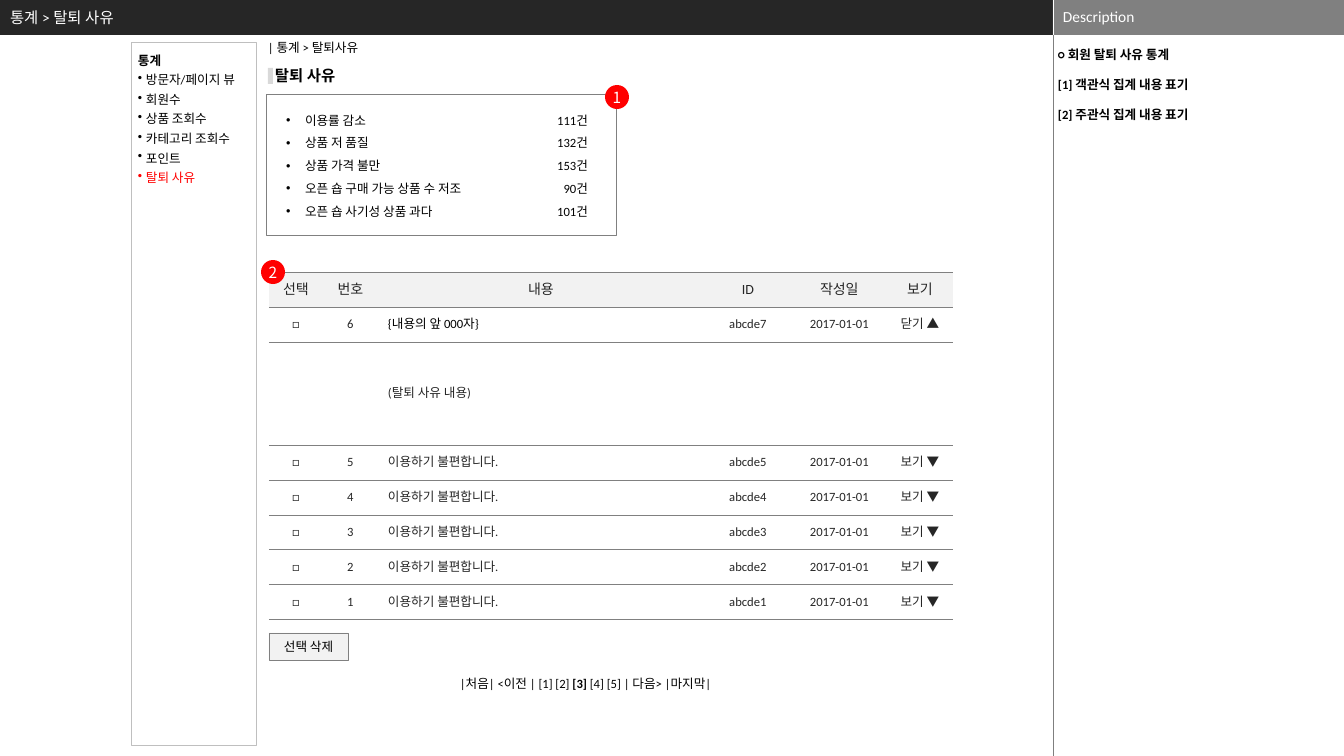
from dataclasses import dataclass

from lxml.etree import SubElement
from pptx import Presentation
from pptx.dml.color import RGBColor
from pptx.enum.shapes import MSO_CONNECTOR, MSO_SHAPE
from pptx.enum.text import MSO_ANCHOR, MSO_AUTO_SIZE, PP_ALIGN
from pptx.oxml.ns import qn
from pptx.util import Emu, Pt

PX = 914400 / 100.8


def px(n):
    return Emu(round(n * PX))


@dataclass(frozen=True)
class Theme:
    font: str = "Calibri"
    badge_font: str = "Noto Sans CJK KR"
    small: int = 9
    medium: int = 10
    large: int = 11
    black: str = "000000"
    dark: str = "262626"
    gray: str = "808080"
    rule: str = "7F7F7F"
    frame: str = "BFBFBF"
    marker: str = "D9D9D9"
    pale: str = "F2F2F2"
    white: str = "FFFFFF"
    red: str = "FF0000"


class Page:
    def __init__(self, slide, theme):
        self.s, self.t = slide, theme

    def fill_text(self, tf, lines, size=None, color=None, bold=False, font=None,
                  align=PP_ALIGN.LEFT, spacing=None, before=0, indent=0):
        """Each line is a string or a tuple of run texts."""
        for i, line in enumerate(lines):
            p = tf.paragraphs[0] if i == 0 else tf.add_paragraph()
            if isinstance(line, str):
                p.text = line
            else:
                for part in line:
                    p.add_run().text = part
            p.alignment = align
            p.space_before = Pt(before if i else 0)
            if spacing:
                p.line_spacing = spacing
            for r in p.runs:
                self.style(r, size or self.t.small, color or self.t.black, bold, font or self.t.font)
            if indent:
                self.bullet(p, indent)
        return tf

    def style(self, r, size, color, bold, font):
        r.font.size, r.font.bold, r.font.name = Pt(size), bold, font
        r.font.color.rgb = RGBColor.from_string(color)
        SubElement(r.font._element, qn("a:ea"), typeface=font)

    def bullet(self, p, indent):
        pPr = p._p.get_or_add_pPr()
        pPr.set("marL", str(px(indent)))
        pPr.set("indent", str(-px(indent)))
        SubElement(pPr, qn("a:buChar"), char="•")

    def frame(self, sp, anchor=MSO_ANCHOR.TOP, inset=(10, 5, 10, 5)):
        tf = sp.text_frame
        tf.word_wrap, tf.auto_size, tf.vertical_anchor = True, MSO_AUTO_SIZE.NONE, anchor
        tf.margin_left, tf.margin_top, tf.margin_right, tf.margin_bottom = map(px, inset)
        return tf

    def text(self, box, lines, anchor=MSO_ANCHOR.TOP, inset=(10, 5, 10, 5), **look):
        sp = self.s.shapes.add_textbox(*map(px, box))
        return self.fill_text(self.frame(sp, anchor, inset), lines, **look)

    def placeholder(self, index, box, lines, anchor=MSO_ANCHOR.TOP, **look):
        sp = self.s.placeholders[index]
        sp.left, sp.top, sp.width, sp.height = map(px, box)
        self.s.shapes._spTree.append(sp._element)  # bring to front
        return self.fill_text(self.frame(sp, anchor), lines, **look)

    def shape(self, box, fill=None, line=None, weight=0.5, kind=MSO_SHAPE.RECTANGLE):
        sp = self.s.shapes.add_shape(kind, *map(px, box))
        sp.shadow.inherit = False
        if fill:
            sp.fill.solid()
            sp.fill.fore_color.rgb = RGBColor.from_string(fill)
        else:
            sp.fill.background()
        if line:
            sp.line.color.rgb = RGBColor.from_string(line)
            sp.line.width = Pt(weight)
        else:
            sp.line.fill.background()
        return sp

    def badge(self, x, y, number):
        sp = self.shape((x, y, 24, 24), self.t.red, kind=MSO_SHAPE.OVAL)
        self.fill_text(self.frame(sp, MSO_ANCHOR.MIDDLE, (0, 0, 0, 0)), [number], size=self.t.large,
                       color=self.t.white, font=self.t.badge_font, align=PP_ALIGN.CENTER)

    def line(self, x1, y1, x2, y2, color):
        c = self.s.shapes.add_connector(MSO_CONNECTOR.STRAIGHT, *map(px, (x1, y1, x2, y2)))
        c.line.color.rgb = RGBColor.from_string(color)
        c.line.width = Pt(0.25)
        SubElement(c._element.spPr, qn("a:effectLst"))

    def borders(self, cell):
        tcPr = cell._tc.get_or_add_tcPr()
        for i, side in enumerate(("lnL", "lnR", "lnT", "lnB")):
            ln = tcPr.makeelement(qn("a:" + side), {"w": str(Pt(0.5))})
            if side in ("lnT", "lnB"):
                SubElement(SubElement(ln, qn("a:solidFill")), qn("a:srgbClr"), val=self.t.gray)
            else:
                SubElement(ln, qn("a:noFill"))
            tcPr.insert(i, ln)

    def table(self, x, y, widths, heights, rows, left_column):
        box = map(px, (x, y, sum(widths), sum(heights)))
        table = self.s.shapes.add_table(len(rows), len(widths), *box).table
        table.first_row = table.horz_banding = False
        for column, width in zip(table.columns, widths):
            column.width = px(width)
        for i, (row, height, values) in enumerate(zip(table.rows, heights, rows)):
            row.height = px(height)
            for j, (cell, value) in enumerate(zip(row.cells, values)):
                cell.vertical_anchor = MSO_ANCHOR.MIDDLE
                if i == 0:
                    cell.fill.solid()
                    cell.fill.fore_color.rgb = RGBColor.from_string(self.t.pale)
                else:
                    cell.fill.background()
                self.borders(cell)
                if value:
                    self.fill_text(cell.text_frame, [value], color=self.t.dark,
                                   size=self.t.small if i else self.t.medium,
                                   align=PP_ALIGN.LEFT if i and j == left_column else PP_ALIGN.CENTER)
        return table


def main():
    prs = Presentation()
    prs.slide_width, prs.slide_height = px(1344), px(756)
    t = Theme()
    page = Page(prs.slides.add_slide(prs.slide_layouts[1]), t)

    # Header bar and description panel
    page.shape((0, 0, 1053, 35), t.dark)
    page.shape((1053, 0, 291, 35), t.gray)
    page.line(1053, 0, 1053, 35, t.white)
    page.line(1053, 35, 1053, 756, t.rule)
    page.text((1053, -1, 291, 35), ["Description"], MSO_ANCHOR.MIDDLE, size=t.large, color=t.white)
    page.placeholder(0, (0, 0, 1024, 35), ["통계 > 탈퇴 사유"], MSO_ANCHOR.MIDDLE,
                     size=t.large, color=t.white)
    notes = ["○ 회원 탈퇴 사유 통계", "[1] 객관식 집계 내용 표기", "[2] 주관식 집계 내용 표기"]
    page.text((1054, 47, 236, 705), notes, inset=(4, 0, 4, 0), bold=True, before=10.5)

    # Breadcrumb and section heading
    page.text((258, 35, 130, 25), ["| 통계 > 탈퇴사유"])
    page.text((275, 66, 72, 19), ["탈퇴 사유"], inset=(0, 0, 0, 0), size=t.large, bold=True)
    page.shape((268, 68, 5, 16), t.marker)

    # Side menu
    menu = page.shape((132, 43, 125, 703), line=t.frame, weight=0.75)
    tf = page.frame(menu, inset=(6, 5, 0, 5))
    page.fill_text(tf, ["통계", "방문자/페이지 뷰", "회원수", "상품 조회수", "카테고리 조회수", "포인트",
                        "탈퇴 사유"], spacing=Pt(14))
    tf.paragraphs[0].runs[0].font.bold = True
    for p in tf.paragraphs[1:]:
        page.bullet(p, 8)
    tf.paragraphs[-1].runs[0].font.color.rgb = RGBColor.from_string(t.red)

    # Reason counts
    reasons = {"이용률 감소": 111, "상품 저 품질": 132, "상품 가격 불만": 153,
               "오픈 숍 구매 가능 상품 수 저조": 90, "오픈 숍 사기성 상품 과다": 101}
    page.shape((266, 94, 350, 141), line=t.gray)
    page.placeholder(1, (276, 100, 261, 125), reasons, spacing=1.5, indent=19)
    page.text((540, 100, 58, 125), [f"{n}건" for n in reasons.values()],
              align=PP_ALIGN.RIGHT, spacing=1.5)
    page.badge(605, 85, "1")

    # Written reasons
    date = "2017-01-01"
    rows = [("선택", "번호", "내용", "ID", "작성일", "보기"),
            ("□", "6", "{내용의 앞 000자}", "abcde7", date, "닫기 ▲"),
            ("", "", "(탈퇴 사유 내용)", "", "", "")]
    rows += [("□", str(n), "이용하기 불편합니다.", f"abcde{n}", date, "보기 ▼") for n in range(5, 0, -1)]
    table = page.table(269, 272, (54, 55, 326, 88, 95, 66), [35, 35, 103] + [35] * 5, rows, 2)
    preview = table.cell(1, 2).text_frame.paragraphs[0].runs[0]
    preview.font.color.rgb = RGBColor.from_string(t.black)
    page.badge(261, 260, "2")

    # Delete button and page links
    button = page.shape((269, 633, 79, 27), t.pale, t.gray)
    page.fill_text(page.frame(button, MSO_ANCHOR.MIDDLE, (4, 4, 4, 4)), ["선택 삭제"],
                   align=PP_ALIGN.CENTER)
    pager = page.text((450, 671, 280, 25),
                      [("|처음| <이전 | [1] [2] ", "[3]", " [4] [5] | 다음> |마지막|")])
    pager.paragraphs[0].runs[1].font.bold = True

    prs.save("out.pptx")


if __name__ == "__main__":
    main()
